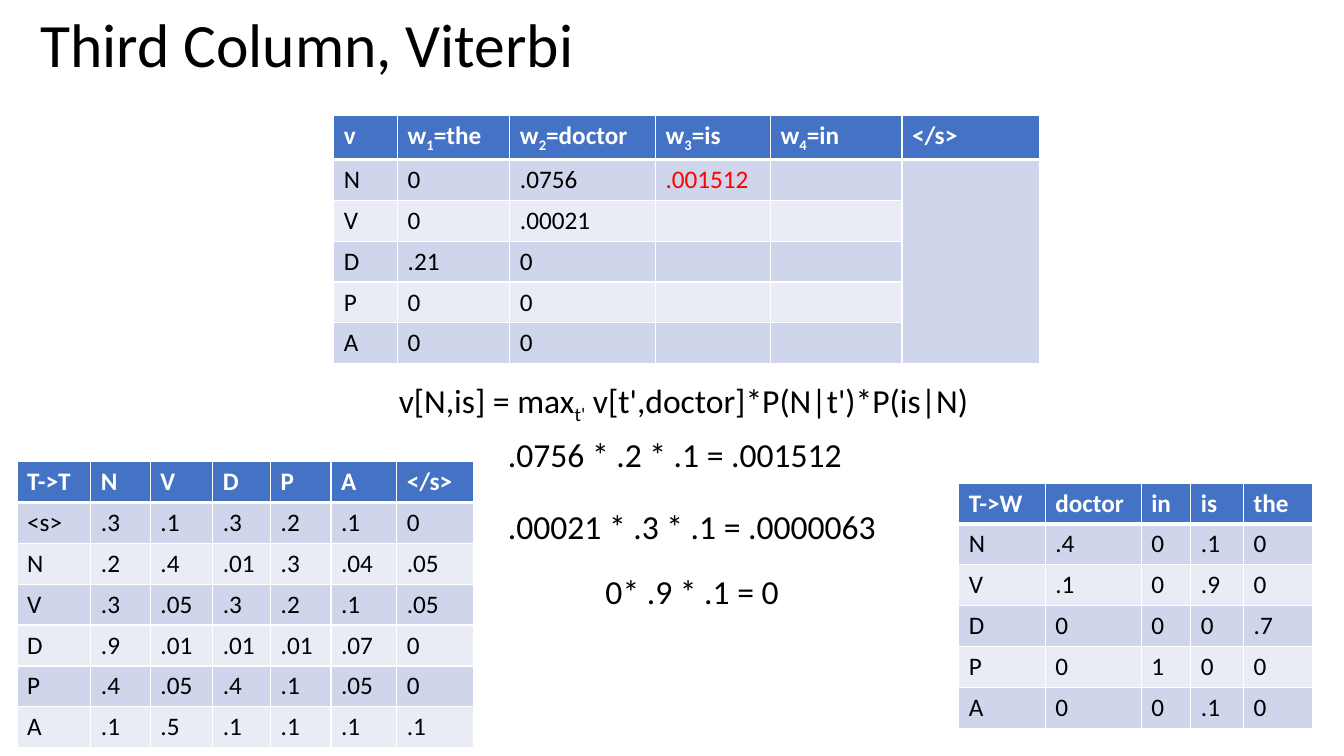
"""Build the slide on filling the third column of a Viterbi table."""
import itertools

import lxml.etree
import pptx
import pptx.dml.color
import pptx.enum.text
import pptx.oxml
import pptx.oxml.ns
import pptx.util
from pptx.util import Cm


def rgb(value):
    return pptx.dml.color.RGBColor.from_string(value)


def write(p, text, size, color="000000", bold=False):
    for i, part in enumerate(text.split("_")):
        r = p.add_run()
        r.text = part
        r.font.name = "Calibri"
        r.font.size = pptx.util.Pt(size)
        r.font.bold = bold
        r.font.color.rgb = rgb(color)
        if i % 2:
            r.font._element.set("baseline", "-25000")


prs = pptx.Presentation()
prs.slide_width, prs.slide_height = Cm(33.87), Cm(19.05)
s = prs.slides.add_slide(prs.slide_layouts[6])

ROW_HEIGHT = 1.03
transitions = (0.43, 11.63, [1.86, 1.5, 1.57, 1.46, 1.52, 1.66, 1.93], [
    "T->T N V D P A </s>",
    "<s> .3 .1 .3 .2 .1 0",
    "N .2 .4 .01 .3 .04 .05",
    "V .3 .05 .3 .2 .1 .05",
    "D .9 .01 .01 .01 .07 0",
    "P .4 .05 .4 .1 .05 0",
    "A .1 .5 .1 .1 .1 .1",
])
viterbi = (8.41, 2.9, [1.61, 2.83, 3.67, 2.9, 3.31, 3.48], [
    "v w_1_=the w_2_=doctor w_3_=is w_4_=in </s>",
    "N 0 .0756 .001512",
    "V 0 .00021",
    "D .21 0",
    "P 0 0",
    "A 0 0",
])
emissions = (24.16, 12.17, [2.18, 2.42, 1.25, 1.33, 1.73], [
    "T->W doctor in is the",
    "N .4 0 .1 0",
    "V .1 0 .9 0",
    "D 0 0 0 .7",
    "P 0 1 0 0",
    "A 0 0 .1 0",
])

for left, top, widths, lines in (transitions, viterbi, emissions):
    table = s.shapes.add_table(len(lines), len(widths), Cm(left), Cm(top),
                               Cm(sum(widths)), Cm(ROW_HEIGHT * len(lines))).table
    for column, width in zip(table.columns, widths):
        column.width = Cm(width)
    for i, (row, line) in enumerate(zip(table.rows, lines)):
        row.height = Cm(ROW_HEIGHT)
        header = i == 0
        fill = "4472C4" if header else ("E9EBF5", "CFD5EA")[i % 2]
        for cell, text in itertools.zip_longest(row.cells, line.split(), fillvalue=""):
            color = "FFFFFF" if header else "FF0000" if text == ".001512" else "000000"
            if text:
                write(cell.text_frame.paragraphs[0], text, 18, color, header)
            tcPr = cell._tc.get_or_add_tcPr()
            for side in "LRTB":
                thick = (side, i) in (("B", 0), ("T", 1))
                ln = lxml.etree.SubElement(tcPr, pptx.oxml.ns.qn(f"a:ln{side}"),
                                           w=str(pptx.util.Pt(3 if thick else 1)))
                solid = lxml.etree.SubElement(ln, pptx.oxml.ns.qn("a:solidFill"))
                lxml.etree.SubElement(solid, pptx.oxml.ns.qn("a:srgbClr"), val="FFFFFF")
            cell.fill.solid()
            cell.fill.fore_color.rgb = rgb(fill)
    if lines is viterbi[3]:
        table.cell(1, 5).merge(table.cell(5, 5))

title = s.shapes.add_textbox(Cm(0.76), Cm(-0.64), Cm(29.21), Cm(3.68))
tf = title.text_frame
tf.word_wrap = True
tf.vertical_anchor = pptx.enum.text.MSO_ANCHOR.MIDDLE
tf.paragraphs[0].line_spacing = 0.9
write(tf.paragraphs[0], "Third Column, Viterbi", 44)

for left, top, width, text in (
    (9.8, 9.45, 14.96, "v[N,is] = max_t'_ v[t',doctor]*P(N|t')*P(is|N)"),
    (12.55, 10.8, 8.99, ".0756 * .2 * .1 = .001512"),
    (12.55, 12.62, 9.86, ".00021 * .3 * .1 = .0000063"),
    (15.01, 14.25, 4.9, "0* .9 * .1 = 0"),
):
    tf = s.shapes.add_textbox(Cm(left), Cm(top), Cm(width), Cm(1.28)).text_frame
    tf.word_wrap = False
    tf.auto_size = pptx.enum.text.MSO_AUTO_SIZE.SHAPE_TO_FIT_TEXT
    write(tf.paragraphs[0], text, 24)

prs.save("out.pptx")
